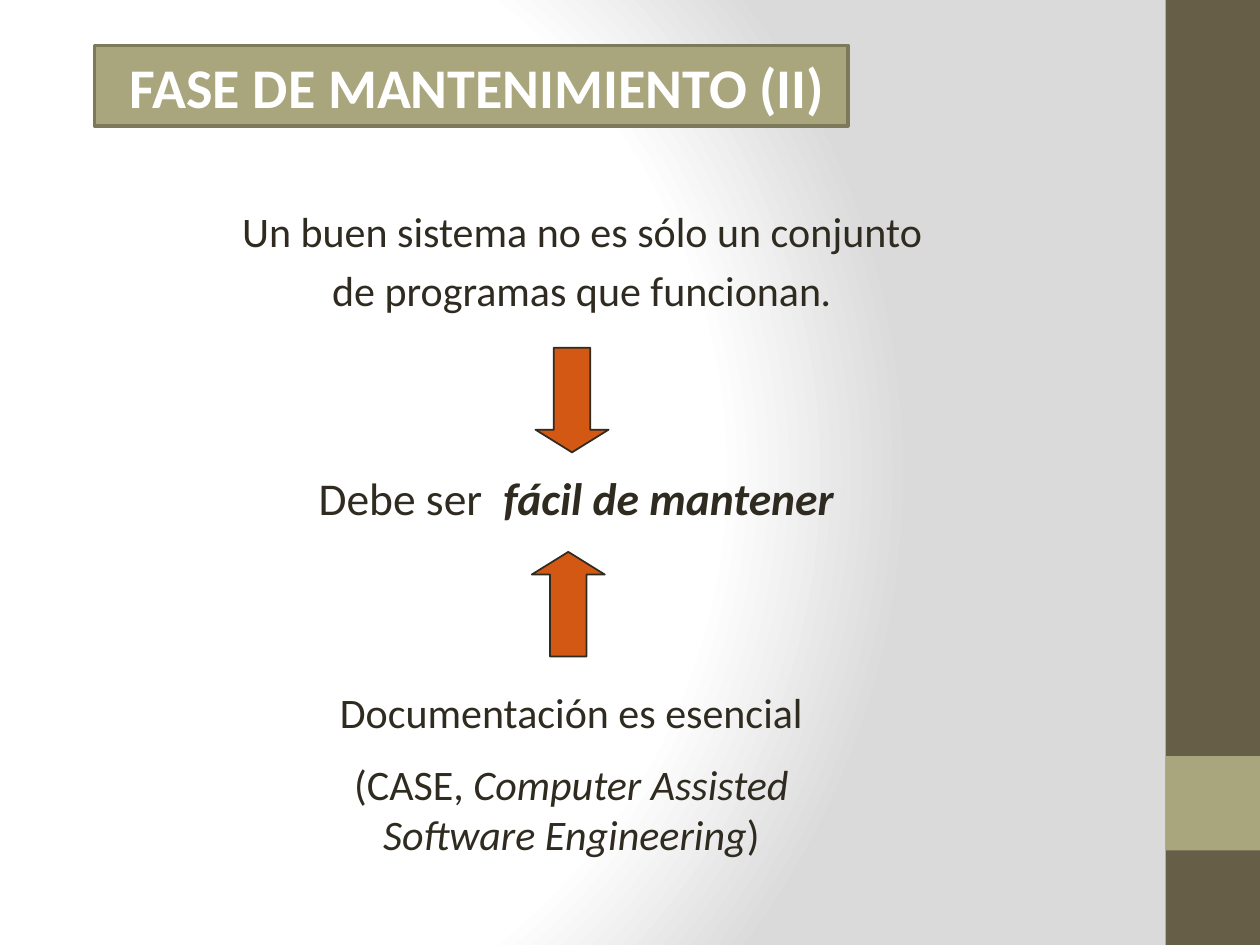
"""Builds the slide on the maintenance phase of a software system."""
from dataclasses import dataclass

from pptx import Presentation
from pptx import util as u
from pptx.dml.color import RGBColor
from pptx.enum import shapes, text
from pptx.oxml import parse_xml
from pptx.oxml.ns import nsdecls


@dataclass(frozen=True)
class Theme:
    font: str = "Calibri"
    ink: str = "2F2B20"
    paper: str = "FFFFFF"
    shade: str = "DADADA"
    brown: str = "675E47"
    olive: str = "A9A57C"
    olive_edge: str = "7D7A5C"
    orange: str = "D25814"
    title: int = 32
    key: int = 26
    body: int = 24


class Slide:
    def __init__(self, deck, theme):
        self.deck, self.theme = deck, theme
        self.page = deck.slides.add_slide(deck.slide_layouts[6])

    def area(self, left, top, width, height):
        across, down = self.deck.slide_width / 100, self.deck.slide_height / 100
        return [u.Emu(round(share * unit)) for share, unit in
                ((left, across), (top, down), (width, across), (height, down))]

    def glow(self):
        stops = ((0, self.theme.paper), (75, self.theme.paper), (100, self.theme.shade))
        marks = "".join(f'<a:gs pos="{place * 1000}"><a:srgbClr val="{color}"/></a:gs>'
                        for place, color in stops)
        self.page.element.cSld.insert(0, parse_xml(
            f'<p:bg {nsdecls("p", "a")}><p:bgPr><a:gradFill rotWithShape="1">'
            f'<a:gsLst>{marks}</a:gsLst><a:path path="circle">'
            '<a:fillToRect l="20000" t="50000" r="100000" b="50000"/></a:path>'
            '</a:gradFill><a:effectLst/></p:bgPr></p:bg>'))

    def shape(self, kind, area, fill, edge=None, weight=1, parent=None):
        box = (parent or self.page).shapes.add_shape(kind, *self.area(*area))
        box.shadow.inherit = False
        box.fill.solid()
        box.fill.fore_color.rgb = RGBColor.from_string(fill)
        if edge:
            box.line.color.rgb = RGBColor.from_string(edge)
            box.line.width = u.Pt(weight)
        else:
            box.line.fill.background()
        return box

    def bar(self, area, fill, edge=None, weight=1):
        return self.shape(shapes.MSO_SHAPE.RECTANGLE, area, fill, edge, weight)

    def arrow(self, left, top, turn=0, parent=None):
        arrow = self.shape(shapes.MSO_SHAPE.DOWN_ARROW, (left, top, 5.8, 11.07),
                           self.theme.orange, self.theme.ink, parent=parent)
        arrow.adjustments[0], arrow.adjustments[1] = 0.5, 0.31
        arrow.rotation = turn

    def add_words(self, box, paragraphs, size, color, gap=0, hanging=False, grow=True):
        frame = box.text_frame
        frame.word_wrap = True
        frame.auto_size = (text.MSO_AUTO_SIZE.SHAPE_TO_FIT_TEXT if grow
                           else text.MSO_AUTO_SIZE.NONE)
        for index, spans in enumerate(paragraphs):
            para = frame.add_paragraph() if index else frame.paragraphs[0]
            para.alignment = text.PP_ALIGN.CENTER
            para.space_before = u.Pt(size * gap)
            if hanging:
                properties = para._p.get_or_add_pPr()
                properties.set("marL", str(u.Inches(0.38)))
                properties.set("indent", str(u.Inches(-0.25)))
            for words, style in spans:
                span = para.add_run()
                span.text = words
                span.font.name = self.theme.font
                span.font.size = u.Pt(size)
                span.font.color.rgb = RGBColor.from_string(color)
                span.font.bold = "b" in style
                span.font.italic = "i" in style

    def label(self, area, paragraphs, size, parent=None, **layout):
        box = (parent or self.page).shapes.add_textbox(*self.area(*area))
        self.add_words(box, paragraphs, size, self.theme.ink, **layout)


def main():
    deck = Presentation()
    deck.slide_width, deck.slide_height = u.Inches(10), u.Inches(7.5)
    theme = Theme()
    slide = Slide(deck, theme)

    slide.glow()
    slide.bar((92.5, 0, 7.5, 100), theme.brown)
    slide.bar((92.5, 80, 7.5, 10), theme.olive)
    title = slide.bar((7.5, 4.8, 59.8, 8.53), theme.olive, theme.olive_edge, 2)
    slide.add_words(title, [[(" FASE DE MANTENIMIENTO (II)", "b")]], theme.title, theme.paper)

    slide.label((11.9, 21.07, 67.3, 15.73), [
        [("Un buen sistema no es sólo un conjunto", "")],
        [("de programas que funcionan", ""), (".", "i")],
    ], theme.body, gap=0.2, hanging=True, grow=False)

    goal = slide.page.shapes.add_group_shape()
    slide.label((15.1, 49.07, 61.3, 7.2), [
        [("Debe ser  ", ""), ("fácil de mantener", "bi")],
    ], theme.key, parent=goal, gap=0.5)
    slide.arrow(42.5, 36.8, parent=goal)

    slide.label((23.7, 72, 43.3, 20.13), [
        [("Documentación es esencial", "")],
        [("(CASE, ", ""), ("Computer Assisted Software Engineering", "i"), (")", "")],
    ], theme.body, gap=0.5)
    slide.arrow(42.2, 58.4, turn=180)

    deck.save("out.pptx")


if __name__ == "__main__":
    main()
